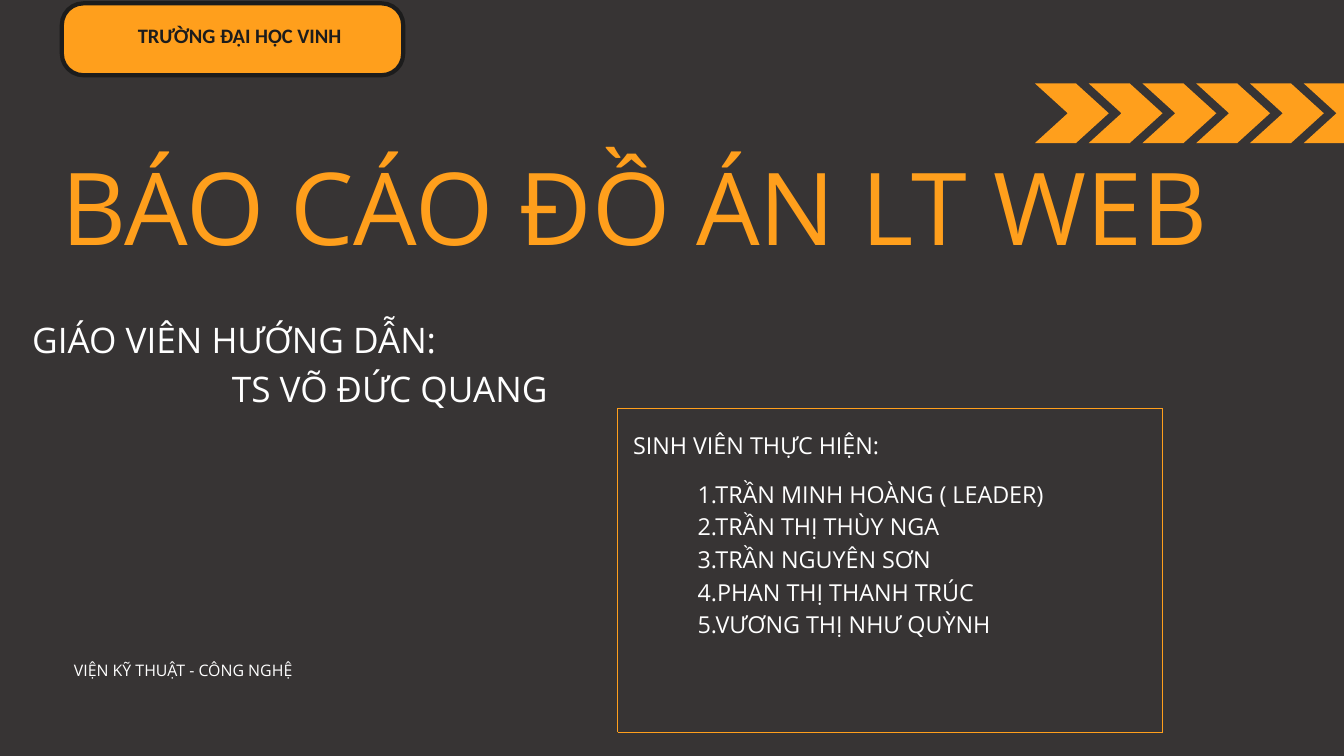
from pptx import Presentation
from pptx.dml.color import RGBColor
from pptx.enum.shapes import MSO_CONNECTOR, MSO_SHAPE
from pptx.enum.text import MSO_ANCHOR, MSO_AUTO_SIZE, PP_ALIGN
from pptx.oxml.ns import qn
from pptx.util import Inches, Pt
from lxml.etree import SubElement

ORANGE = "FF9F1C"
WHITE = "FFFFFF"
DARK = "1C1C1C"
GREY = "373434"


def paint(target, color):
    if hasattr(target, "solid"):
        target.solid()
        target = target.fore_color
    target.rgb = RGBColor.from_string(color)


def place(shape, left, top, width, height):
    shape.left, shape.top = Inches(left), Inches(top)
    shape.width, shape.height = Inches(width), Inches(height)


def write(shape, lines, size, pitch, color=WHITE, font="Open Sans", bold=False):
    frame = shape.text_frame
    frame.word_wrap = True
    frame.auto_size = MSO_AUTO_SIZE.NONE
    frame.vertical_anchor = MSO_ANCHOR.TOP
    frame.margin_left = frame.margin_right = 0
    frame.margin_top = frame.margin_bottom = 0
    frame.text = "\n".join(lines)
    for para in frame.paragraphs:
        props = para._p.get_or_add_pPr()
        props.set("marL", "0")
        props.set("indent", "0")
        SubElement(props, qn("a:buNone"))
        para.alignment = PP_ALIGN.LEFT
        para.line_spacing = Pt(pitch)
        para.space_before = Pt(0)
        para.font.name = font
        para.font.size = Pt(size)
        para.font.bold = bold
        paint(para.font.color, color)
    return frame


def label(slide, box, lines, size, pitch, **style):
    shape = slide.shapes.add_textbox(*map(Inches, box))
    return write(shape, lines, size, pitch, **style)


def banner(slide, left, top, width, height):
    badge = slide.shapes.add_shape(
        MSO_SHAPE.ROUNDED_RECTANGLE, *map(Inches, (left, top, width, height)))
    badge.adjustments[0] = 0.3
    badge.shadow.inherit = False
    paint(badge.fill, ORANGE)
    paint(badge.line.color, DARK)
    badge.line.width = Pt(4.5)
    label(slide, (left + 1.13, top + 0.35, width - 1.13, 0.32),
          ["TRƯỜNG ĐẠI HỌC VINH"], 22, 22,
          color=DARK, font="Calibri", bold=True)


def arrows(slide, left, top, width, height, count=6, step=0.8):
    for i in range(count):
        arrow = slide.shapes.add_shape(
            MSO_SHAPE.CHEVRON,
            *map(Inches, (left + i * step, top, width, height)))
        arrow.adjustments[0] = 0.55
        arrow.shadow.inherit = False
        paint(arrow.fill, ORANGE)
        arrow.line.fill.background()


def heading(slide, left, top, width, height):
    title = slide.shapes.title
    place(title, left, top, width, height)
    write(title, ["BÁO CÁO ĐỒ ÁN LT WEB"], 107.7, 107.7, color=ORANGE)


def teacher(slide, left, top, width, height):
    frame = label(slide, (left, top, width, height),
                  ["GIÁO VIÊN HƯỚNG DẪN:", "TS VÕ ĐỨC QUANG"], 37.7, 52.7)
    frame.paragraphs[1]._p.pPr.set("marL", str(Inches(2.97)))


def team(slide, left, top, width, height):
    right, base = left + width, top + height
    edges = [(left, top, right, top), (left, base, left, top),
             (right, base, right, top), (left, base, right, base)]
    for ends in edges:
        edge = slide.shapes.add_connector(
            MSO_CONNECTOR.STRAIGHT, *map(Inches, ends))
        SubElement(edge._element.spPr, qn("a:effectLst"))
        paint(edge.line.color, ORANGE)
        edge.line.width = Pt(0.75)
    label(slide, (left + 0.23, top + 0.27, 4.26, 0.46),
          ["SINH VIÊN THỰC HIỆN:"], 25, 35)
    names = slide.placeholders[1]
    place(names, left + 1.19, top + 1, 5.74, 2.45)
    write(names, ["1.TRẦN MINH HOÀNG ( LEADER)",
                  "2.TRẦN THỊ THÙY NGA",
                  "3.TRẦN NGUYÊN SƠN",
                  "4.PHAN THỊ THANH TRÚC",
                  "5.VƯƠNG THỊ NHƯ QUỲNH"], 25, 35)


def main():
    deck = Presentation()
    deck.slide_width, deck.slide_height = Inches(20), Inches(11.25)
    slide = deck.slides.add_slide(deck.slide_layouts[1])
    paint(slide.background.fill, GREY)
    heading(slide, 0.92, 2.45, 18.04, 1.56)
    teacher(slide, 0.48, 4.63, 8.93, 1.47)
    arrows(slide, 15.4, 1.24, 1.1, 0.89)
    team(slide, 9.19, 6.07, 8.11, 4.83)
    banner(slide, 0.92, 0.05, 5.08, 1.07)
    label(slide, (1.1, 9.79, 3.98, 0.63),
          ["VIỆN KỸ THUẬT - CÔNG NGHỆ"], 17, 23.8)
    deck.save("out.pptx")


if __name__ == "__main__":
    main()
